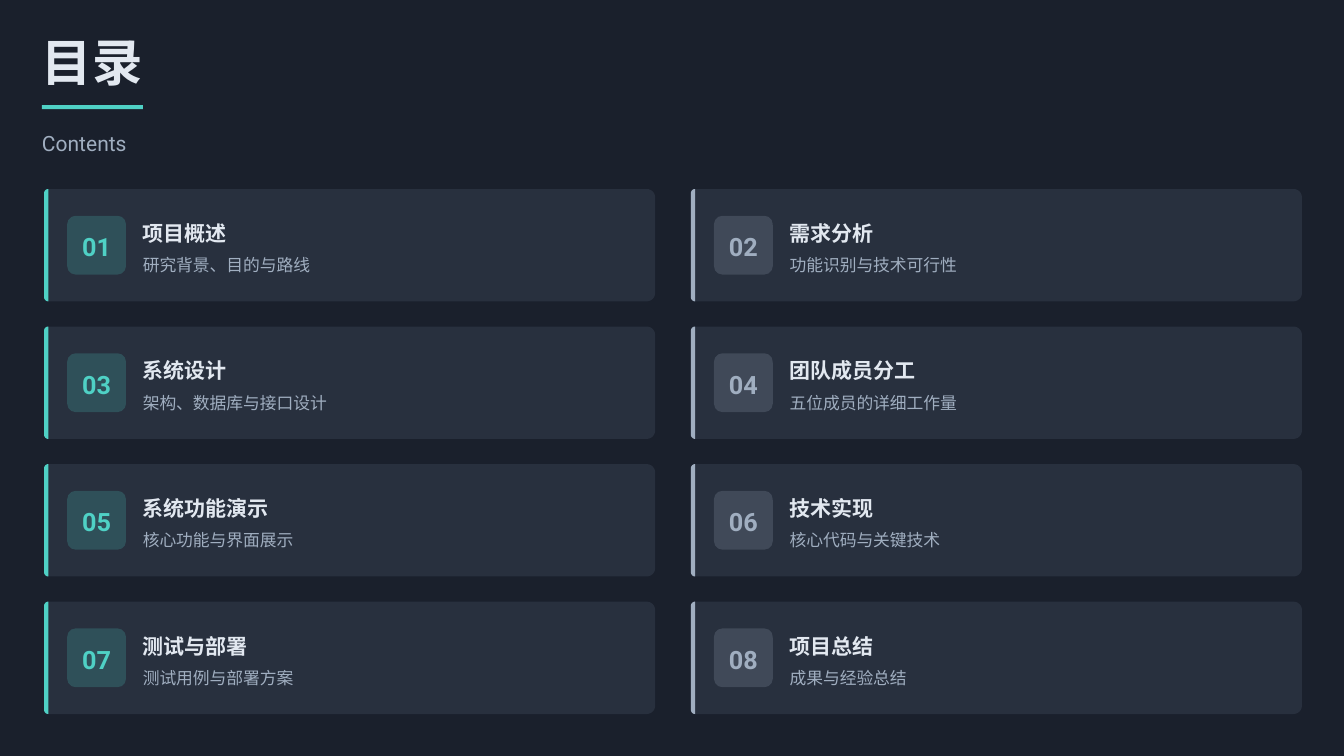
import math

from lxml import etree
from pptx import Presentation
from pptx.dml.color import RGBColor
from pptx.enum.shapes import MSO_SHAPE
from pptx.enum.text import MSO_ANCHOR, PP_ALIGN
from pptx.oxml.ns import qn
from pptx.util import Pt

RECTANGLE = MSO_SHAPE.RECTANGLE
ROUNDED = MSO_SHAPE.ROUNDED_RECTANGLE
MIDDLE = MSO_ANCHOR.MIDDLE
LEFT, CENTER = PP_ALIGN.LEFT, PP_ALIGN.CENTER

COLORS = {
    "background": "1A202C",
    "heading": "E2E8F0",
    "muted": "A0AEC0",
    "accent": "4FD1C5",
    "card": "4A5568",
}

# Text formats: font values and line spacing
FORMATS = {
    "title": ({"size": Pt(48), "bold": True}, 0.8),
    "subtitle": ({"size": Pt(20), "bold": False}, 1.2),
    "number": ({"size": Pt(24), "bold": True}, 1.1),
    "topic": ({"size": Pt(20), "bold": True}, 1.2),
    "detail": ({"size": Pt(16), "bold": False}, 1.3),
}

TOPICS = [
    ("项目概述", "研究背景、目的与路线"),
    ("需求分析", "功能识别与技术可行性"),
    ("系统设计", "架构、数据库与接口设计"),
    ("团队成员分工", "五位成员的详细工作量"),
    ("系统功能演示", "核心功能与界面展示"),
    ("技术实现", "核心代码与关键技术"),
    ("测试与部署", "测试用例与部署方案"),
    ("项目总结", "成果与经验总结"),
]

# Card grid, in points
COLUMNS = 2
GRID_LEFT, GRID_TOP = 42, 180
COLUMN_STEP, ROW_STEP = 616, 131
CARD_WIDTH, CARD_HEIGHT = 582, 107
STRIPE_WIDTH = 4
BADGE_SIZE = 56
CORNER = 8


def color(name):
    return RGBColor.from_string(COLORS[name])


def paint(shape, name, opacity=100):
    shape.shadow.inherit = False
    shape.line.fill.background()
    shape.fill.solid()
    shape.fill.fore_color.rgb = color(name)
    if opacity < 100:
        tint = shape.fill._xPr.find(qn("a:solidFill"))[0]
        etree.SubElement(tint, qn("a:alpha"), val=str(opacity * 1000))


def add_text(page, text, style, name, left, top, width, height, align=LEFT):
    box = page.shapes.add_textbox(Pt(left), Pt(top), Pt(width), Pt(height))
    frame = box.text_frame
    frame.word_wrap = True
    frame.vertical_anchor = MIDDLE
    for side in ("left", "top", "right", "bottom"):
        setattr(frame, f"margin_{side}", 0)
    font_values, spacing = FORMATS[style]
    para = frame.paragraphs[0]
    para.alignment = align
    para.line_spacing = spacing
    span = para.add_run()
    span.text = text
    for key, value in {"name": "Roboto", **font_values}.items():
        setattr(span.font, key, value)
    span.font.color.rgb = color(name)


def add_preset(page, kind, name, left, top, width, height, opacity=100):
    shape = page.shapes.add_shape(kind, Pt(left), Pt(top), Pt(width), Pt(height))
    paint(shape, name, opacity)
    return shape


def add_panel(page, name, left, top, width, height, right_radius, opacity=100):
    """Panel with small left corners and its own radius on the right."""
    right, bottom = left + width, top + height
    small = STRIPE_WIDTH
    corners = [  # arc centre, radius, start angle
        (left + small, top + small, small, 180),
        (right - right_radius, top + right_radius, right_radius, 270),
        (right - right_radius, bottom - right_radius, right_radius, 0),
        (left + small, bottom - small, small, 90),
    ]
    points = []
    for x, y, radius, start in corners:
        for turn in range(0, 91, 15) if radius else (0,):
            angle = math.radians(start + turn)
            points.append((Pt(x + radius * math.cos(angle)),
                           Pt(y + radius * math.sin(angle))))
    builder = page.shapes.build_freeform(*points[0])
    builder.add_line_segments(points[1:], close=True)
    paint(builder.convert_to_shape(), name, opacity)


def add_card(page, index, topic, detail):
    row, column = divmod(index, COLUMNS)
    left = GRID_LEFT + column * COLUMN_STEP
    top = GRID_TOP + row * ROW_STEP
    name = ("accent", "muted")[column]

    # Card and its edge stripe
    add_panel(page, "card", left, top, CARD_WIDTH, CARD_HEIGHT, CORNER, opacity=30)
    add_panel(page, name, left, top, STRIPE_WIDTH, CARD_HEIGHT, 0)

    # Number badge
    badge_top = top + (CARD_HEIGHT - BADGE_SIZE) / 2
    badge = add_preset(page, ROUNDED, name, left + 22, badge_top,
                       BADGE_SIZE, BADGE_SIZE, opacity=20)
    badge.adjustments[0] = CORNER / BADGE_SIZE
    add_text(page, f"{index + 1:02d}", "number", name,
             left + 30, badge_top + 12, 40, 32, CENTER)

    # Topic and detail
    add_text(page, topic, "topic", "heading", left + 94, badge_top, 478, 28)
    add_text(page, detail, "detail", "muted", left + 94, badge_top + 32, 476, 24)


def main():
    deck = Presentation()
    deck.slide_width, deck.slide_height = Pt(1280), Pt(720)
    page = deck.slides.add_slide(deck.slide_layouts[6])
    page.background.fill.solid()
    page.background.fill.fore_color.rgb = color("background")

    # Heading
    add_text(page, "目录", "title", "heading", 40, 40, 1224, 48)
    add_preset(page, RECTANGLE, "accent", 40, 100, 96, 4)
    add_text(page, "Contents", "subtitle", "muted", 40, 120, 1210, 28)

    # Contents cards
    for index, (topic, detail) in enumerate(TOPICS):
        add_card(page, index, topic, detail)

    deck.save("out.pptx")


if __name__ == "__main__":
    main()
